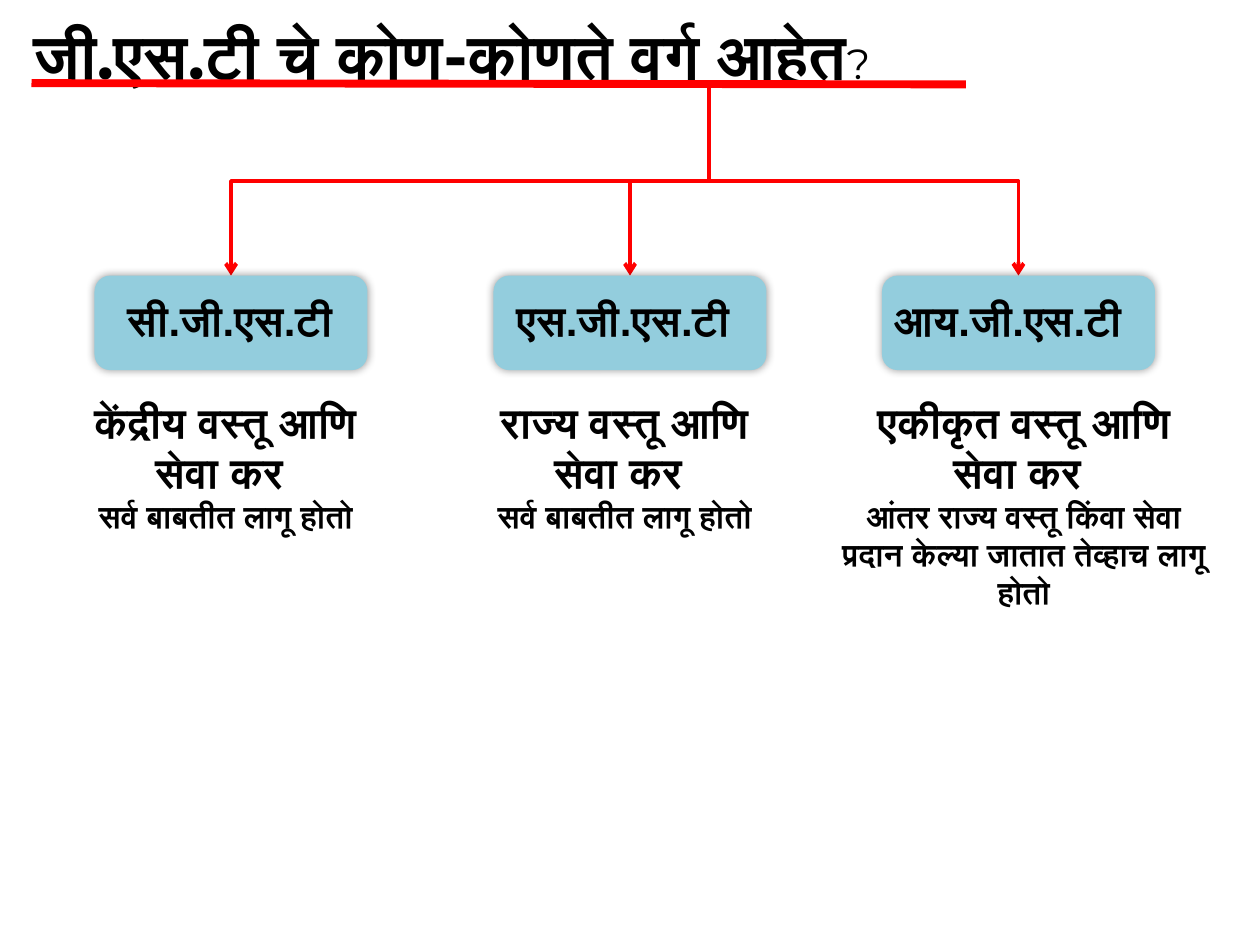
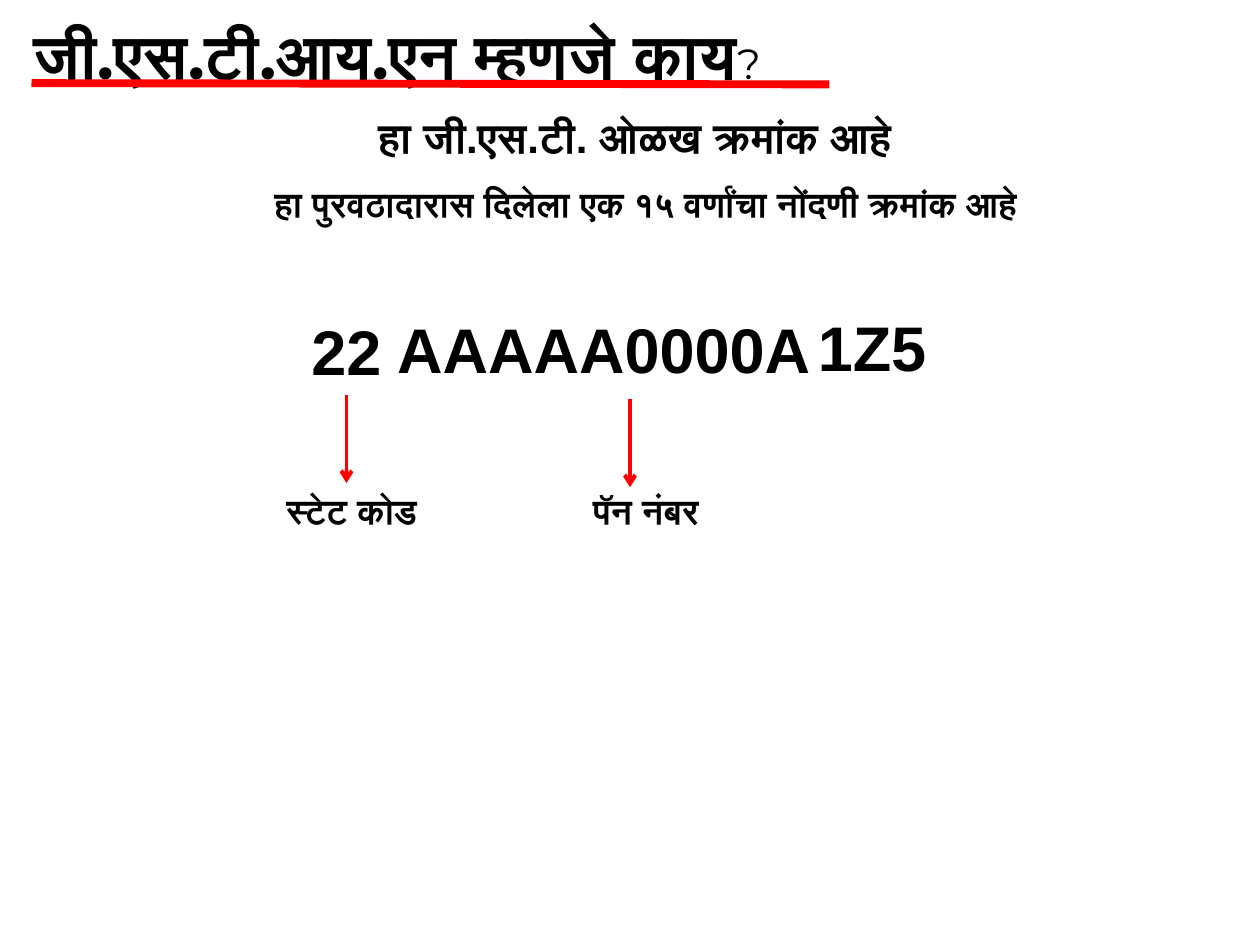
from dataclasses import dataclass

from lxml.etree import SubElement
from pptx import Presentation
from pptx.dml.color import RGBColor
from pptx.enum.shapes import MSO_CONNECTOR as Route, MSO_SHAPE as Preset
from pptx.enum.text import MSO_ANCHOR as Anchor, MSO_AUTO_SIZE as Fit, PP_ALIGN as Align
from pptx.oxml.ns import qn
from pptx.util import Inches, Pt

COLUMNS, ROWS = 120, 90
SLIDE_WIDTH, SLIDE_HEIGHT = Inches(10), Inches(7.5)
TITLE_ONLY = 5


@dataclass(frozen=True)
class Theme:
    ink: RGBColor = RGBColor(0, 0, 0)
    accent: RGBColor = RGBColor(0xFF, 0, 0)
    card: RGBColor = RGBColor(0x93, 0xCD, 0xDD)
    title_font: str = "Montserrat"
    body_font: str = "Arial"
    title: int = 36
    question: int = 24
    code: int = 36
    heading: int = 24
    caption: int = 20
    note: int = 18
    rule: float = 4.5
    arrow: float = 2.25
    shadow_blur: int = 5
    shadow_alpha: int = 40


THEME = Theme()


def x(columns):
    return round(SLIDE_WIDTH * columns / COLUMNS)


def y(rows):
    return round(SLIDE_HEIGHT * rows / ROWS)


@dataclass(frozen=True)
class Box:
    left: float
    top: float
    width: float
    height: float

    @property
    def center(self):
        return self.left + self.width / 2

    def inner(self, left, top, width, height):
        return Box(self.left + left, self.top + top, width, height)

    def emu(self):
        return x(self.left), y(self.top), x(self.width), y(self.height)


def style(font, name, size, bold):
    font.name = name
    font.color.rgb = THEME.ink
    font.size = Pt(size)
    font.bold = bold


def add_text(shapes, box, lines, align=Align.CENTER):
    frame = shapes.add_textbox(*box.emu()).text_frame
    frame.word_wrap = True
    frame.auto_size = Fit.SHAPE_TO_FIT_TEXT
    for index, (words, size) in enumerate(lines):
        paragraph = frame.add_paragraph() if index else frame.paragraphs[0]
        paragraph.text = words
        paragraph.alignment = align
        style(paragraph.font, THEME.body_font, size, True)


def add_line(shapes, route, start, end, width, arrow=False):
    line = shapes.add_connector(route, *start, *end)
    line.line.color.rgb = THEME.accent
    line.line.width = Pt(width)
    properties = line._element.spPr
    if arrow:
        SubElement(properties.find(qn("a:ln")), qn("a:tailEnd"), type="arrow")
    SubElement(properties, qn("a:effectLst"))
    return line


def add_branch(shapes, start, end):
    (start_x, start_y), (end_x, end_y) = start, end
    middle_x, middle_y = (start_x + end_x) // 2, (start_y + end_y) // 2
    half_drop, half_spread = (end_y - start_y) // 2, abs(end_x - start_x) // 2
    rightward = end_x > start_x
    reach = -half_drop if rightward else half_drop
    branch = add_line(shapes, Route.ELBOW,
                      (middle_x - reach, middle_y - half_spread),
                      (middle_x + reach, middle_y + half_spread),
                      THEME.arrow, arrow=True)
    degrees = 270 if rightward else 90
    branch._element.spPr.find(qn("a:xfrm")).set("rot", str(degrees * 60000))


def add_title(slide, box, words, rule_width):
    title = slide.shapes.title
    title.left, title.top, title.width, title.height = box.emu()
    frame = title.text_frame
    frame.word_wrap = True
    frame.vertical_anchor = Anchor.TOP
    frame.auto_size = Fit.SHAPE_TO_FIT_TEXT
    paragraph = frame.paragraphs[0]
    paragraph.alignment = Align.LEFT
    for piece, size, bold in ((words, THEME.title, True), ("?", THEME.question, False)):
        run = paragraph.add_run()
        run.text = piece
        style(run.font, THEME.title_font, size, bold)
    left = box.left + 1
    add_line(slide.shapes, Route.STRAIGHT, (x(left), y(box.top + 6.92)),
             (x(left + rule_width), y(box.top + 7.04)), THEME.rule)


def add_card(shapes, box, name, label_left, label_width):
    group = shapes.add_group_shape().shapes
    card = group.add_shape(Preset.ROUNDED_RECTANGLE, *box.emu())
    card.fill.solid()
    card.fill.fore_color.rgb = THEME.card
    card.line.fill.background()
    card.shadow.inherit = False
    effects = card._element.spPr.find(qn("a:effectLst"))
    shadow = SubElement(effects, qn("a:outerShdw"), blurRad=str(Pt(THEME.shadow_blur)),
                        dist="0", dir="0", algn="ctr", rotWithShape="0")
    shade = SubElement(shadow, qn("a:srgbClr"), val=str(THEME.ink))
    SubElement(shade, qn("a:alpha"), val=str(THEME.shadow_alpha * 1000))
    add_text(group, box.inner(label_left, 1.25, label_width, 6),
             [(name, THEME.heading)], Align.LEFT)


def add_categories(slide, box):
    everywhere = "सर्व बाबतीत लागू होतो"
    categories = (
        (0, "सी.जी.एस.टी", 2, 23, "केंद्रीय वस्तू आणि सेवा कर ", everywhere, -3, 31, 14.5),
        (38, "एस.जी.एस.टी", 1, 24, "राज्य वस्तू आणि सेवा कर ", everywhere, -3, 31, 14.5),
        (75, "आय.जी.एस.टी", 0, 27, "एकीकृत वस्तू आणि सेवा कर ",
         "आंतर राज्य वस्तू किंवा सेवा प्रदान केल्या जातात तेव्हाच लागू होतो", -5, 37, 21.8),
    )
    trunk = x(box.left + 58.5), y(box.top)
    for (left, name, label_left, label_width, meaning, scope,
         text_left, text_width, text_height) in categories:
        card = box.inner(left, 18, 26, 9)
        add_branch(slide.shapes, trunk, (x(card.center), y(card.top)))
        add_card(slide.shapes, card, name, label_left, label_width)
        add_text(slide.shapes, card.inner(text_left, 10.9, text_width, text_height),
                 [(meaning, THEME.heading), (scope, THEME.note)])


def add_definition(slide, box):
    add_text(slide.shapes, box.inner(21, 0, 57, 6),
             [("हा जी.एस.टी. ओळख क्रमांक आहे", THEME.heading)])
    add_text(slide.shapes, box.inner(0, 6.8, box.width, 5.3),
             [("हा पुरवठादारास दिलेला एक १५ वर्णांचा नोंदणी क्रमांक आहे", THEME.caption)])


def add_number_pieces(slide, box):
    for digits, left, top, width in (("22", 3, 0.4, 14), ("AAAAA0000A", 10, 0.2, 49),
                                     ("1Z5", 50.4, 0, 19.3)):
        add_text(slide.shapes, box.inner(left, top, width, 8.5), [(digits, THEME.code)])
    for meaning, arrow_left, arrow_top, left, width in (("स्टेट कोड", 10, 8.8, 0, 21),
                                                        ("पॅन नंबर", 37, 9.2, 26, 25)):
        arrow_x = x(box.left + arrow_left)
        arrow_y = box.top + arrow_top
        add_line(slide.shapes, Route.STRAIGHT, (arrow_x, y(arrow_y)),
                 (arrow_x, y(arrow_y + 8.4)), THEME.arrow, arrow=True)
        add_text(slide.shapes, box.inner(left, 17.2, width, 5.3), [(meaning, THEME.caption)])


def main():
    deck = Presentation()
    deck.slide_width, deck.slide_height = SLIDE_WIDTH, SLIDE_HEIGHT
    layout = deck.slide_layouts[TITLE_ONLY]

    classes = deck.slides.add_slide(layout)
    add_title(classes, Box(2, 1, 96, 8.5), "जी.एस.टी चे कोण-कोणते वर्ग आहेत", 89)
    add_categories(classes, Box(9, 8.25, 107, 51))

    number = deck.slides.add_slide(layout)
    add_title(number, Box(2, 1, 93, 8.5), "जी.एस.टी.आय.एन म्हणजे काय", 76)
    add_definition(number, Box(11, 10, 101, 12))
    add_number_pieces(number, Box(23, 28.8, 70, 23))

    deck.save("out.pptx")


if __name__ == "__main__":
    main()
